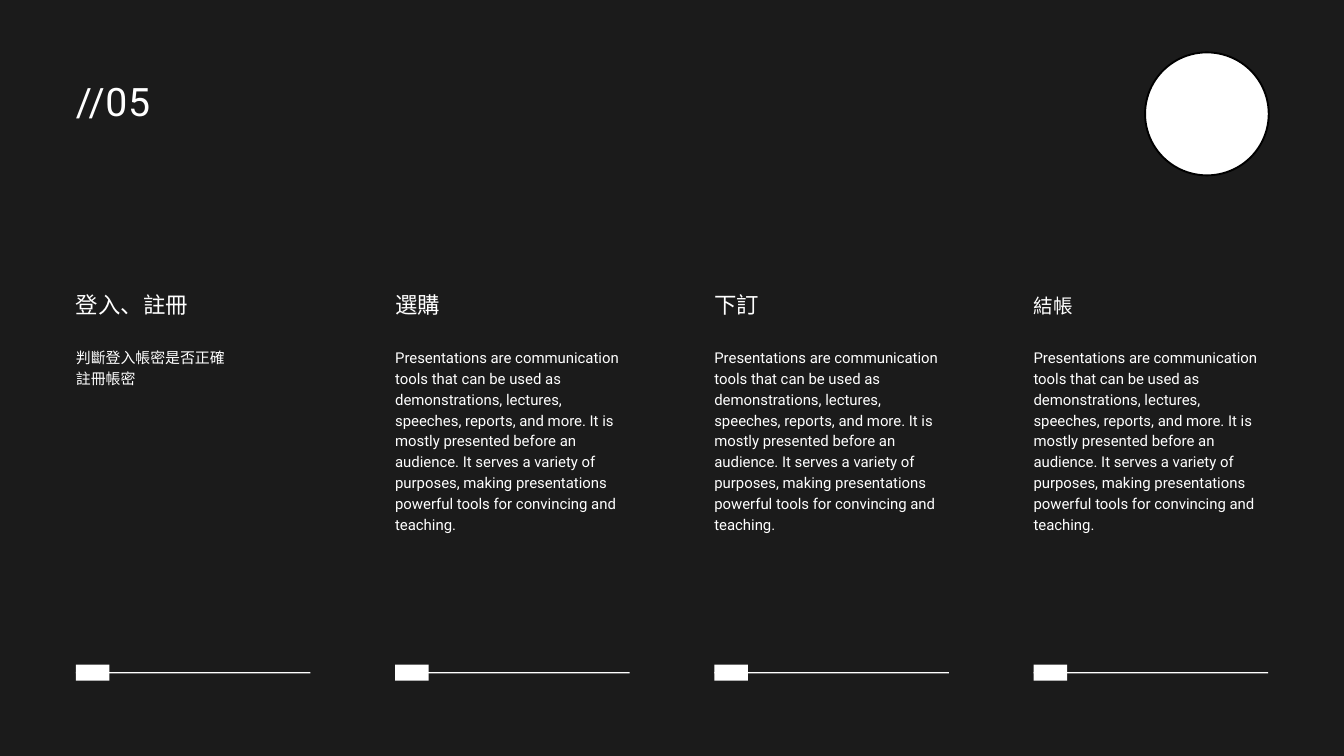
from dataclasses import dataclass

from pptx import Presentation
from pptx.dml.color import RGBColor
from pptx.enum.shapes import MSO_SHAPE
from pptx.enum.text import MSO_AUTO_SIZE, MSO_VERTICAL_ANCHOR
from pptx.util import Inches, Pt

RECTANGLE = MSO_SHAPE.RECTANGLE
ELLIPSE = MSO_SHAPE.OVAL
GROW = MSO_AUTO_SIZE.SHAPE_TO_FIT_TEXT
TOP = MSO_VERTICAL_ANCHOR.TOP


@dataclass(frozen=True)
class Theme:
    """Colours, font, type sizes and line heights of the slide."""
    background: RGBColor = RGBColor(0x1B, 0x1B, 0x1B)
    ink: RGBColor = RGBColor(0xFF, 0xFF, 0xFF)
    outline: RGBColor = RGBColor(0, 0, 0)
    font: str = "Roboto"
    number: tuple = (42, 58.8)
    heading: tuple = (24, 29.4)
    small_heading: tuple = (21, 29.4)
    body: tuple = (16, 22.4)


THEME = Theme()
LEFT, STEP, WIDTH = 1.13, 4.75, 3.49
SAMPLE = (
    "Presentations are communication tools that can be used as demonstrations, "
    "lectures, speeches, reports, and more. It is mostly presented before an "
    "audience. It serves a variety of purposes, making presentations powerful "
    "tools for convincing and teaching."
)
STEPS = [
    ("登入、註冊", THEME.heading, ["判斷登入帳密是否正確", "註冊帳密"], 0.62),
    ("選購", THEME.heading, [SAMPLE], 2.7),
    ("下訂", THEME.heading, [SAMPLE], 2.7),
    ("結帳", THEME.small_heading, [SAMPLE], 2.7),
]


def set_values(target, values):
    """Set each named attribute of the target."""
    for name, value in values.items():
        setattr(target, name, value)


def add_text(shapes, area, lines, style, spacing=0):
    """Add a text box with one paragraph per line."""
    size, line_height = style
    frame = shapes.add_textbox(*map(Inches, area)).text_frame
    set_values(frame, {
        "margin_left": 0, "margin_top": 0, "margin_right": 0,
        "margin_bottom": 0, "word_wrap": True, "auto_size": GROW,
        "vertical_anchor": TOP,
    })
    for index, line in enumerate(lines):
        para = frame.add_paragraph() if index else frame.paragraphs[0]
        para.line_spacing = Pt(line_height)
        span = para.add_run()
        span.text = line
        set_values(span.font, {"name": THEME.font, "size": Pt(size)})
        span.font.color.rgb = THEME.ink
        if spacing:
            span._r.get_or_add_rPr().set("spc", str(spacing))


def add_solid(shapes, kind, area, outline_width=0):
    """Add a filled shape, outlined when a width is given."""
    shape = shapes.add_shape(kind, *map(Inches, area))
    shape.shadow.inherit = False
    shape.fill.solid()
    shape.fill.fore_color.rgb = THEME.ink
    if outline_width:
        shape.line.color.rgb = THEME.outline
        shape.line.width = Pt(outline_width)
    else:
        shape.line.fill.background()


def add_marker(page, left):
    """Add the grouped rule and block at the foot of a column."""
    shapes = page.shapes.add_group_shape().shapes
    add_solid(shapes, RECTANGLE, (left, 10, WIDTH, 0.02))
    add_solid(shapes, RECTANGLE, (left, 9.89, 0.5, 0.24))


def add_step(page, left, heading, style, lines, height):
    """Add the grouped heading and body of a column."""
    shapes = page.shapes.add_group_shape().shapes
    add_text(shapes, (left, 4.32, WIDTH, 0.38), [heading], style)
    add_text(shapes, (left, 5.14, WIDTH, height), lines, THEME.body)


def main():
    """Build the slide and save it."""
    deck = Presentation()
    set_values(deck, {"slide_width": Inches(20), "slide_height": Inches(11.25)})
    page = deck.slides.add_slide(deck.slide_layouts[6])
    page.background.fill.solid()
    page.background.fill.fore_color.rgb = THEME.background

    columns = [LEFT + STEP * index for index in range(len(STEPS))]
    for left in columns:
        add_marker(page, left)
    for left, step in zip(columns, STEPS):
        add_step(page, left, *step)
    add_text(page.shapes, (LEFT, 1.04, 3.74, 0.78), ["//05"], THEME.number, 80)
    add_solid(page.shapes, ELLIPSE, (17.04, 0.78, 1.84, 1.83), 2)
    deck.save("out.pptx")


if __name__ == "__main__":
    main()
